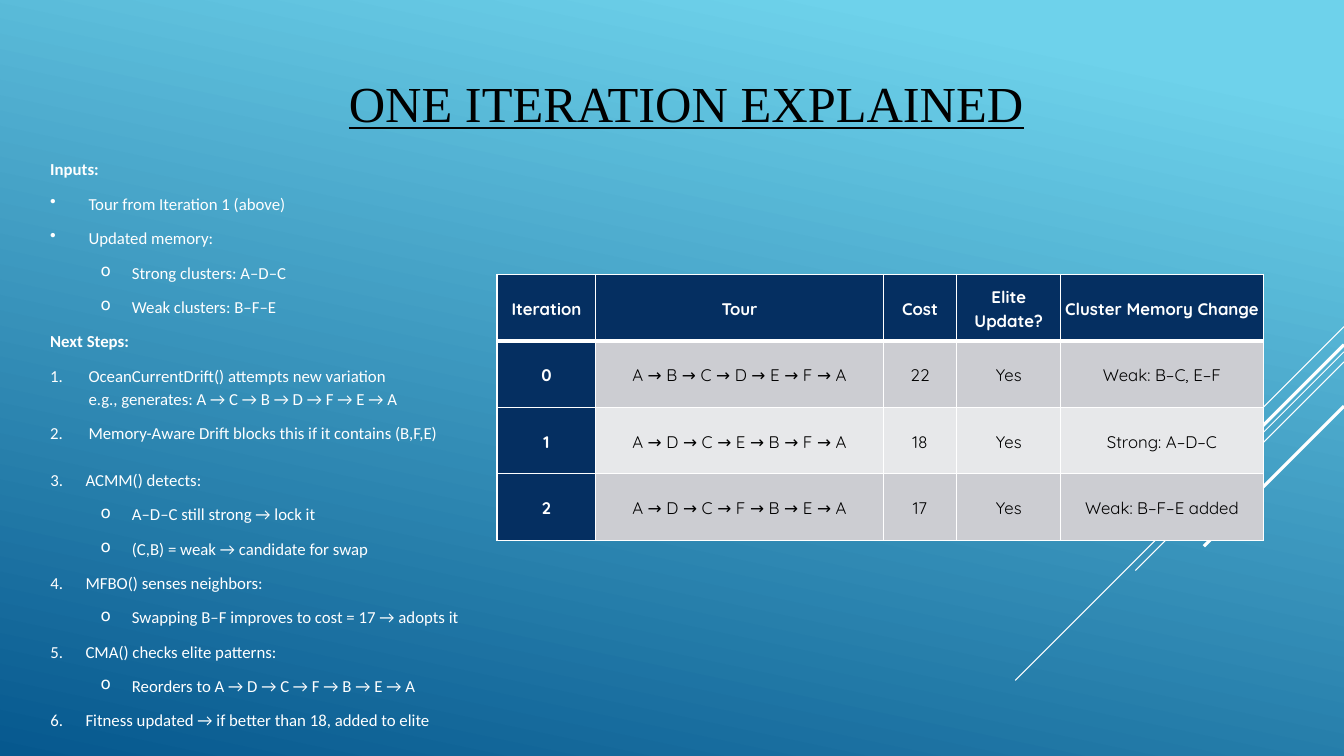
from dataclasses import dataclass

from lxml import etree
from pptx import Presentation
from pptx.dml.color import RGBColor
from pptx.enum.shapes import MSO_CONNECTOR
from pptx.enum.text import MSO_ANCHOR, MSO_AUTO_SIZE, PP_ALIGN
from pptx.oxml.ns import qn
from pptx.slide import Slide
from pptx.table import _Cell
from pptx.util import Inches, Pt

STRAIGHT = MSO_CONNECTOR.STRAIGHT
MIDDLE = MSO_ANCHOR.MIDDLE
LEFT, CENTER = PP_ALIGN.LEFT, PP_ALIGN.CENTER
GROW = MSO_AUTO_SIZE.SHAPE_TO_FIT_TEXT

WIDTH, HEIGHT = 13.33, 7.5
WHITE, BLACK, NAVY = "FFFFFF", "000000", "052F61"
BANDS = ("CCCDD2", "E7E8EA")


@dataclass(frozen=True)
class DiagonalLine:
    top: float
    length: float
    weight: float


@dataclass(frozen=True)
class ItemStyle:
    margin: float = 0
    hanging: float = 0
    level: int = 0
    bullet: str = ""
    start: int = 0
    bold: bool = False


@dataclass(frozen=True)
class Item:
    style: ItemStyle
    text: str


HEADING = ItemStyle(bold=True)
BULLET = ItemStyle(0.38, 0.38, bullet="•")
SUB_BULLET = ItemStyle(0.81, 0.31, level=1, bullet="o")
FIRST_STEPS = ItemStyle(0.38, 0.38, start=1)
LATER_STEPS = ItemStyle(0.35, 0.35, start=3)

DIAGONALS = (
    DiagonalLine(3.24, 1, 0.75),
    DiagonalLine(3.49, 3.26, 0.75),
    DiagonalLine(3.59, 2.07, 0.75),
    DiagonalLine(3.42, 1.91, 2.25),
    DiagonalLine(4.03, 1.39, 2.25),
)

INPUTS = (
    Item(HEADING, "Inputs:"),
    Item(BULLET, "Tour from Iteration 1 (above)"),
    Item(BULLET, "Updated memory:"),
    Item(SUB_BULLET, "Strong clusters: A–D–C"),
    Item(SUB_BULLET, "Weak clusters: B–F–E"),
    Item(HEADING, "Next Steps:"),
    Item(FIRST_STEPS, "OceanCurrentDrift() attempts new variation\n"
                      "e.g., generates: A → C → B → D → F → E → A"),
    Item(FIRST_STEPS, "Memory-Aware Drift blocks this if it contains (B,F,E)"),
)
CHECKS = (
    Item(LATER_STEPS, "ACMM() detects:"),
    Item(SUB_BULLET, "A–D–C still strong → lock it"),
    Item(SUB_BULLET, "(C,B) = weak → candidate for swap"),
    Item(LATER_STEPS, "MFBO() senses neighbors:"),
    Item(SUB_BULLET, "Swapping B–F improves to cost = 17 → adopts it"),
    Item(LATER_STEPS, "CMA() checks elite patterns:"),
    Item(SUB_BULLET, "Reorders to A → D → C → F → B → E → A"),
    Item(LATER_STEPS, "Fitness updated → if better than 18, added to elite"),
)

COLUMN_WIDTHS = (0.98, 2.85, 0.73, 1.03, 2.01)
ROW_HEIGHT = 0.66
ITERATIONS = (
    ("Iteration", "Tour", "Cost", "Elite Update?", "Cluster Memory Change"),
    ("0", "A → B → C → D → E → F → A", "22", "Yes", "Weak: B–C, E–F"),
    ("1", "A → D → C → E → B → F → A", "18", "Yes", "Strong: A–D–C"),
    ("2", "A → D → C → F → B → E → A", "17", "Yes", "Weak: B–F–E added"),
)


def rgb(value: str) -> RGBColor:
    return RGBColor.from_string(value)


def format_paragraph(paragraph, color: str, **font_values) -> None:
    for run in paragraph.runs:
        for name, value in font_values.items():
            setattr(run.font, name, value)
        run.font.color.rgb = rgb(color)


def space_paragraph(paragraph) -> None:
    paragraph.line_spacing = 1.15
    paragraph.space_after = Pt(8)


def add_diagonal(slide: Slide, line: DiagonalLine) -> None:
    connector = slide.shapes.add_connector(
        STRAIGHT, Inches(WIDTH), Inches(line.top),
        Inches(WIDTH - line.length), Inches(line.top + line.length))
    connector.line.color.rgb = rgb(WHITE)
    connector.line.width = Pt(line.weight)
    etree.SubElement(connector._element.spPr, qn("a:effectLst"))


def set_list_style(paragraph, style: ItemStyle) -> None:
    paragraph.level = style.level
    properties = paragraph._p.get_or_add_pPr()
    properties.set("marL", str(Inches(style.margin)))
    properties.set("indent", str(-Inches(style.hanging)))
    if style.bullet:
        etree.SubElement(properties, qn("a:buChar"), char=style.bullet)
    elif style.start:
        etree.SubElement(properties, qn("a:buAutoNum"),
                         type="arabicPeriod", startAt=str(style.start))


def add_items(slide: Slide, top: float, width: float, height: float,
              items: tuple[Item, ...]) -> None:
    box = slide.shapes.add_textbox(
        Inches(0.4), Inches(top), Inches(width), Inches(height))
    frame = box.text_frame
    frame.word_wrap = True
    frame.auto_size = GROW
    for index, item in enumerate(items):
        paragraph = frame.add_paragraph() if index else frame.paragraphs[0]
        paragraph.text = item.text
        space_paragraph(paragraph)
        set_list_style(paragraph, item.style)
        format_paragraph(paragraph, WHITE, name="Calibri", size=Pt(12),
                         bold=item.style.bold)
        for line_break in paragraph._p.findall(qn("a:br")):
            etree.SubElement(line_break, qn("a:rPr"), sz="1200")


def set_borders(cell: _Cell, top: float, bottom: float) -> None:
    properties = cell._tc.get_or_add_tcPr()
    weights = {"a:lnL": 1, "a:lnR": 1, "a:lnT": top, "a:lnB": bottom}
    for index, (tag, weight) in enumerate(weights.items()):
        border = etree.Element(qn(tag), w=str(Pt(weight)))
        fill = etree.SubElement(border, qn("a:solidFill"))
        etree.SubElement(fill, qn("a:srgbClr"), val=WHITE)
        properties.insert(index, border)


def add_iteration_table(slide: Slide) -> None:
    table = slide.shapes.add_table(
        len(ITERATIONS), len(COLUMN_WIDTHS), Inches(4.93), Inches(2.72),
        Inches(sum(COLUMN_WIDTHS)), Inches(ROW_HEIGHT * len(ITERATIONS))).table
    for column, width in zip(table.columns, COLUMN_WIDTHS):
        column.width = Inches(width)
    for row_index, texts in enumerate(ITERATIONS):
        table.rows[row_index].height = Inches(ROW_HEIGHT)
        for column_index, text in enumerate(texts):
            header = row_index == 0 or column_index == 0
            cell = table.cell(row_index, column_index)
            cell.text = text
            cell.vertical_anchor = MIDDLE
            for side in ("left", "top", "right", "bottom"):
                setattr(cell, f"margin_{side}", Inches(0.01))
            cell.fill.solid()
            cell.fill.fore_color.rgb = rgb(
                NAVY if header else BANDS[(row_index - 1) % 2])
            set_borders(cell, top=3 if row_index == 1 else 1,
                        bottom=3 if row_index == 0 else 1)
            paragraph = cell.text_frame.paragraphs[0]
            paragraph.alignment = CENTER
            space_paragraph(paragraph)
            format_paragraph(paragraph, WHITE if header else BLACK,
                             name="Quicksand", size=Pt(12), bold=header)


def main() -> None:
    presentation = Presentation()
    presentation.slide_width = Inches(WIDTH)
    presentation.slide_height = Inches(HEIGHT)
    slide = presentation.slides.add_slide(presentation.slide_layouts[5])

    # Background
    background = slide.background.fill
    background.gradient()
    background.gradient_angle = 360 - 102
    for stop, (position, color) in zip(
            background.gradient_stops, ((0.1, "6ED2EB"), (1, "06588E"))):
        stop.position = position
        stop.color.rgb = rgb(color)
    for line in DIAGONALS:
        add_diagonal(slide, line)

    # Title
    title = slide.shapes.title
    title.left, title.top = Inches(3.36), Inches(0.19)
    title.width, title.height = Inches(9.33), Inches(1.65)
    title.text_frame.text = "ONE ITERATION EXPLAINED"
    title.text_frame.vertical_anchor = MIDDLE
    paragraph = title.text_frame.paragraphs[0]
    paragraph.alignment = LEFT
    format_paragraph(paragraph, BLACK, name="Times New Roman", size=Pt(36),
                     underline=True)

    # Steps and results
    add_items(slide, 1.5, 8, 2.96, INPUTS)
    add_items(slide, 4.58, 6.68, 2.73, CHECKS)
    add_iteration_table(slide)
    presentation.save("out.pptx")


if __name__ == "__main__":
    main()
